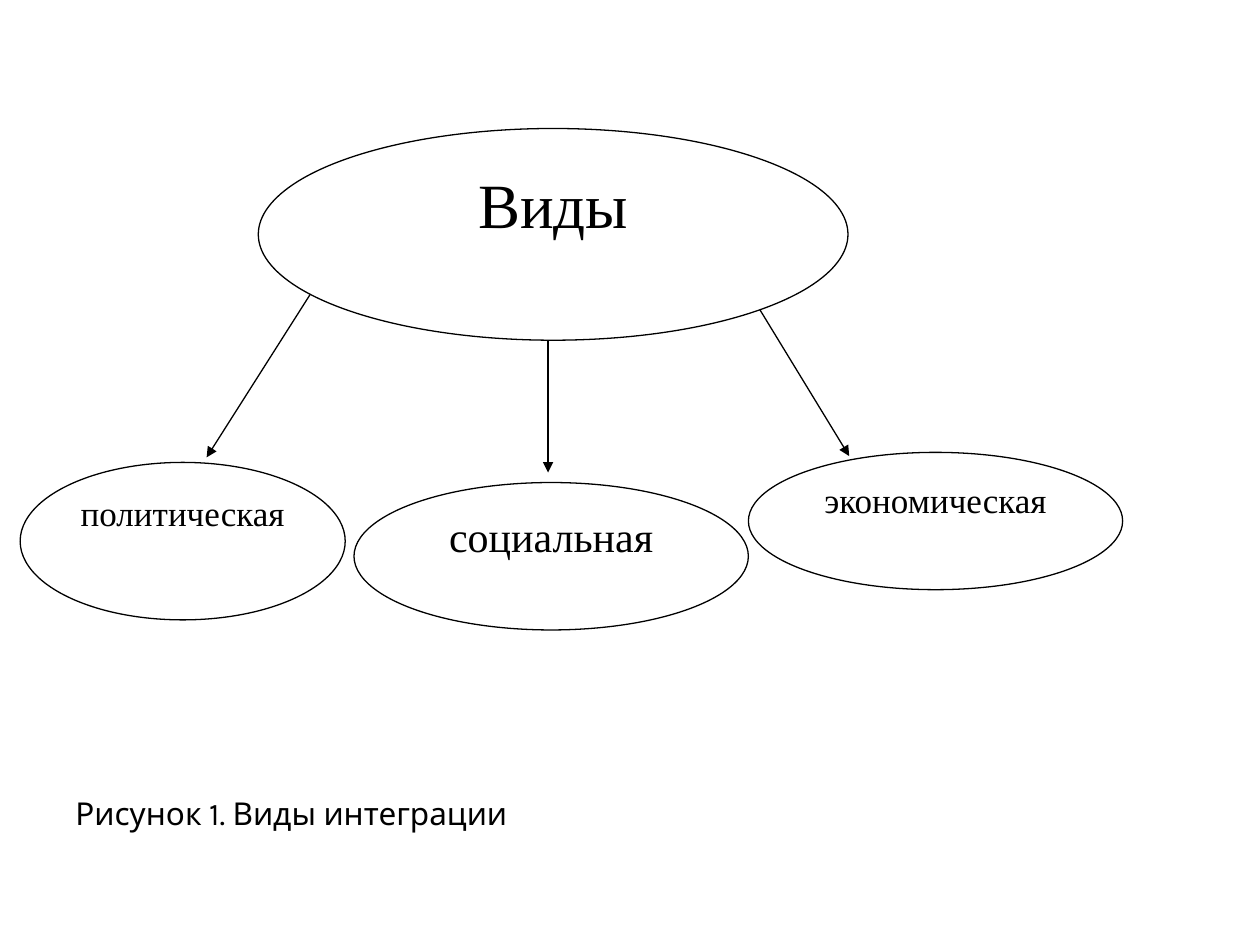
from lxml.etree import SubElement
from pptx import Presentation
from pptx.dml.color import RGBColor
from pptx.enum.shapes import MSO_CONNECTOR, MSO_SHAPE
from pptx.enum.text import MSO_ANCHOR, PP_ALIGN
from pptx.oxml.ns import qn
from pptx.util import Inches, Pt

COLS, ROWS = 100, 75
INK, PAPER = "000000", "FFFFFF"


def paint(code):
    """Turn a hex string into a colour."""
    return RGBColor.from_string(code)


class Sketch:
    """Style and current slide, measured on a grid of 100 by 75."""

    serif, sans, rule = "Times New Roman", "Karla", 0.75

    def __init__(self, deck):
        """Add a blank slide to the deck."""
        self.wide = deck.slide_width / COLS
        self.high = deck.slide_height / ROWS
        self.slide = deck.slides.add_slide(deck.slide_layouts[6])
        self.slide.background.fill.solid()
        self.slide.background.fill.fore_color.rgb = paint(PAPER)

    def span(self, left, top, right, low):
        """Turn two pairs of columns and rows into lengths."""
        return [round(left * self.wide), round(top * self.high),
                round(right * self.wide), round(low * self.high)]

    def group(self):
        """Add a group and return its shapes."""
        return self.slide.shapes.add_group_shape().shapes

    def letter(self, frame, words, size, font, align):
        """Set one run of text at the top of a frame."""
        frame.word_wrap = True
        frame.vertical_anchor = MSO_ANCHOR.TOP
        para = frame.paragraphs[0]
        para.alignment = align
        run = para.add_run()
        run.text = words
        run.font.size, run.font.name = Pt(size), font
        run.font.color.rgb = paint(INK)

    def stroke(self, line):
        """Set the colour and width of a line."""
        line.color.rgb = paint(INK)
        line.width = Pt(self.rule)

    def oval(self, words, size, box, host=None):
        """Draw an outlined ellipse with centred text."""
        host = host or self.slide.shapes
        shape = host.add_shape(MSO_SHAPE.OVAL, *self.span(*box))
        shape.shadow.inherit = False
        shape.fill.solid()
        shape.fill.fore_color.rgb = paint(PAPER)
        self.stroke(shape.line)
        self.letter(shape.text_frame, words, size, self.serif, PP_ALIGN.CENTER)

    def arrow(self, ends, host):
        """Draw a straight line with a triangle at its end."""
        link = host.add_connector(MSO_CONNECTOR.STRAIGHT, *self.span(*ends))
        self.stroke(link.line)
        props = link.element.spPr
        SubElement(props.find(qn("a:ln")), qn("a:tailEnd"), type="triangle")
        SubElement(props, qn("a:effectLst"))

    def label(self, words, size, box):
        """Add a left-aligned text box."""
        text = self.slide.shapes.add_textbox(*self.span(*box))
        self.letter(text.text_frame, words, size, self.sans, PP_ALIGN.LEFT)


def main():
    """Build the slide and save it."""
    deck = Presentation()
    deck.slide_width, deck.slide_height = Inches(10), Inches(7.5)
    page = Sketch(deck)
    page.label("Рисунок 1. Виды интеграции", 18, (5, 62.5, 90, 6.7))

    root = page.group()
    page.oval("Виды", 36, (20.5, 10.2, 46.8, 16.8), root)
    for ends in ((60.2, 24.4, 67.4, 36.2),
                 (43.5, 27.1, 43.5, 37.5),
                 (24.6, 23.4, 16.4, 36.3)):
        page.arrow(ends, root)

    for words, size, box in (
            ("политическая", 20, (1.6, 36.7, 25.8, 12.5)),
            ("социальная", 24, (28.1, 38.3, 31.3, 11.7)),
            ("экономическая", 20, (59.4, 35.9, 29.7, 10.9))):
        page.oval(words, size, box)
    deck.save("out.pptx")


main()
